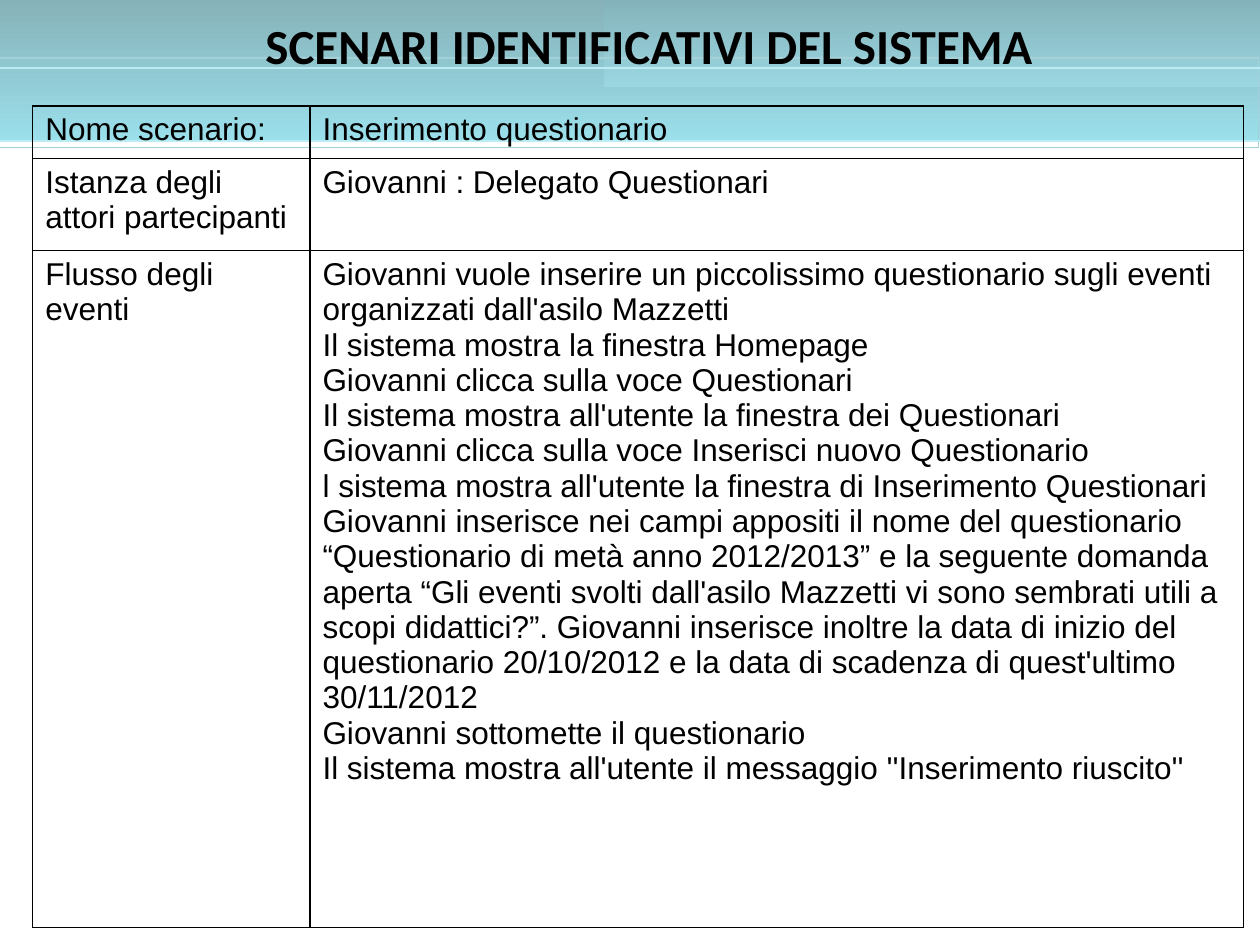
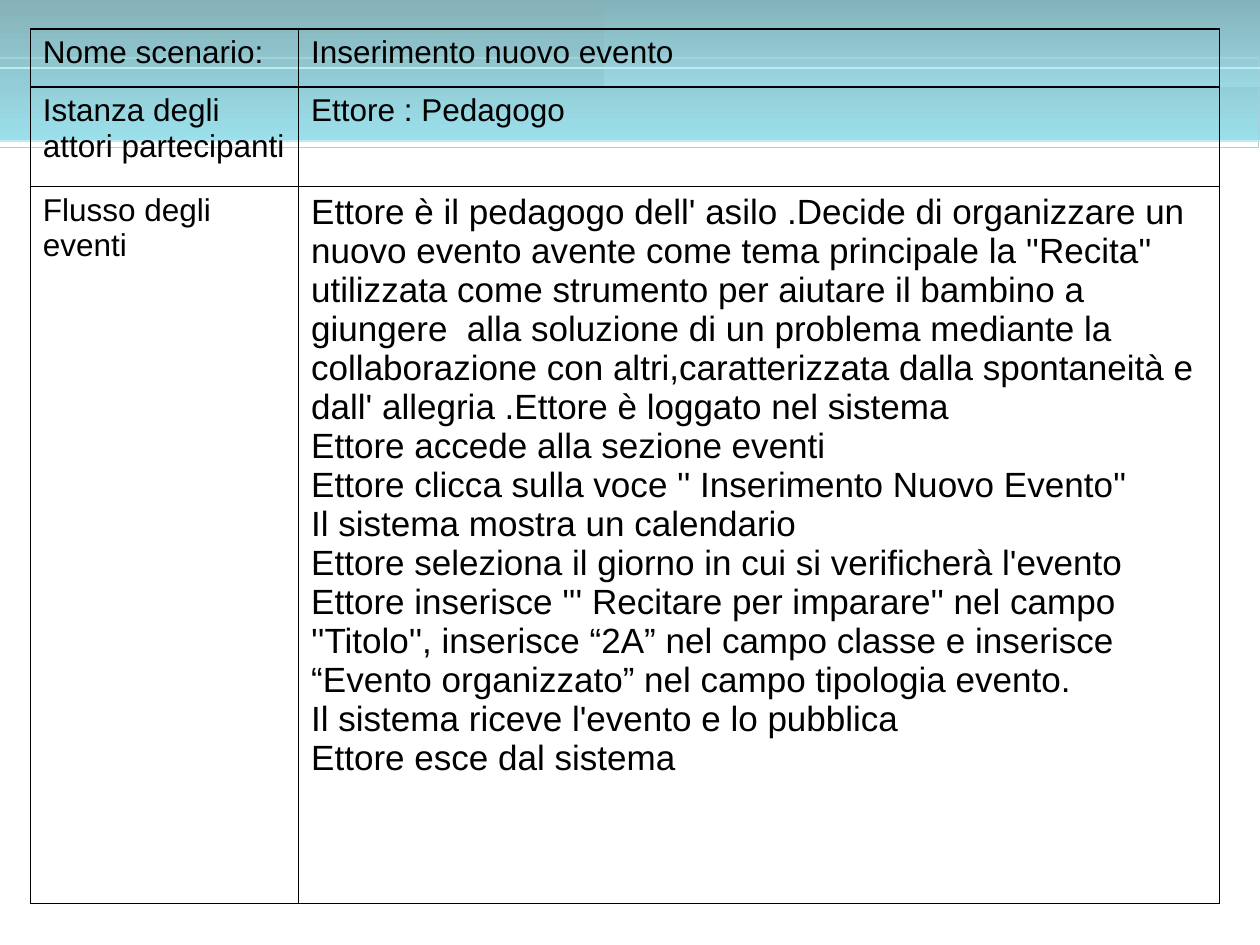
from lxml.etree import SubElement
from pptx import Presentation
from pptx.dml.color import RGBColor
from pptx.enum.shapes import MSO_SHAPE
from pptx.enum.text import MSO_ANCHOR, PP_ALIGN
from pptx.oxml.ns import qn
from pptx.util import Inches, Pt

COLORS = {
    "ink": "000000",
    "band_top": "86B1B8", "band_bottom": "9BE0EB",
    "panel_top": "84B2BA", "panel_bottom": "9BD7E1",
    "outer_rule": "A5D0D7", "inner_rule": "BBECF4",
}
TABLE_FONT, TITLE_FONT = "Arial", "Calibri"
LABELS = ["Nome scenario:", "Istanza degli attori partecipanti", "Flusso degli eventi"]

# Header rectangles: position, gradient colours or outline colour and width
HEADER = [
    ((-0.01, -0.01, 10.02, 1.14), ("band_top", "band_bottom"), None),
    ((4.79, -0.01, 5.21, 0.7), ("panel_top", "panel_bottom"), None),
    ((-0.03, 0.46, 10.02, 0.71), None, ("outer_rule", 0.85)),
    ((-0.02, 0.54, 10.03, 0.58), None, ("inner_rule", 0.75)),
]

SCENARIOS = [
    {
        "title": "SCENARI IDENTIFICATIVI DEL SISTEMA",
        "corner": (0.26, 0.84),
        "columns": (2.2, 7.41),
        "rows": (0.42, 0.73, 5.37),
        "flow_size": 18,
        "name": "Inserimento questionario",
        "actor": "Giovanni : Delegato Questionari",
        "flow": [
            "Giovanni vuole inserire un piccolissimo questionario sugli eventi "
            "organizzati dall'asilo Mazzetti",
            "Il sistema mostra la finestra Homepage",
            "Giovanni clicca sulla voce Questionari",
            "Il sistema mostra all'utente la finestra dei Questionari",
            "Giovanni clicca sulla voce Inserisci nuovo Questionario",
            "l sistema mostra all'utente la finestra di Inserimento Questionari",
            "Giovanni inserisce nei campi appositi il nome del questionario "
            "“Questionario di metà anno 2012/2013” e la seguente domanda aperta "
            "“Gli eventi svolti dall'asilo Mazzetti vi sono sembrati utili a scopi "
            "didattici?”. Giovanni inserisce inoltre la data di inizio del "
            "questionario 20/10/2012 e la data di scadenza di quest'ultimo 30/11/2012",
            "Giovanni sottomette il questionario",
            "Il sistema mostra all'utente il messaggio ''Inserimento riuscito''",
        ],
    },
    {
        "title": None,
        "corner": (0.24, 0.23),
        "columns": (2.13, 7.31),
        "rows": (0.46, 0.79, 5.69),
        "flow_size": 20,
        "name": "Inserimento nuovo evento",
        "actor": "Ettore : Pedagogo",
        "flow": [
            "Ettore è il pedagogo dell' asilo .Decide di organizzare un nuovo evento "
            "avente come tema principale la ''Recita'' utilizzata come strumento per "
            "aiutare il bambino a giungere  alla soluzione di un problema mediante la "
            "collaborazione con altri,caratterizzata dalla spontaneità e dall' allegria "
            ".Ettore è loggato nel sistema",
            "Ettore accede alla sezione eventi",
            "Ettore clicca sulla voce '' Inserimento Nuovo Evento''",
            "Il sistema mostra un calendario",
            "Ettore seleziona il giorno in cui si verificherà l'evento",
            "Ettore inserisce ''' Recitare per imparare'' nel campo ''Titolo'', "
            "inserisce “2A” nel campo classe e inserisce “Evento organizzato” nel "
            "campo tipologia evento.",
            "Il sistema riceve l'evento e lo pubblica",
            "Ettore esce dal sistema",
        ],
    },
]


def color(name):
    return RGBColor.from_string(COLORS[name])


def write(paragraph, text, font_name, size, bold=False):
    run = paragraph.add_run()
    run.text = text
    run.font.name, run.font.size, run.font.bold = font_name, Pt(size), bold
    run.font.color.rgb = color("ink")


prs = Presentation()
prs.slide_width, prs.slide_height = Inches(10), Inches(7.5)
title_only, blank = prs.slide_layouts[5], prs.slide_layouts[6]
slides = [prs.slides.add_slide(title_only if scenario["title"] else blank)
          for scenario in SCENARIOS]

# The header is drawn once and moved to the master, behind its placeholders
master_tree = prs.slide_master.shapes.element
for order, (place, gradient, outline) in enumerate(HEADER):
    piece = slides[0].shapes.add_shape(MSO_SHAPE.RECTANGLE, *map(Inches, place))
    piece.shadow.inherit = False
    if gradient:
        piece.fill.gradient()
        piece.fill.gradient_angle = 270
        for stop, name, position in zip(piece.fill.gradient_stops, gradient, (0, 1)):
            stop.color.rgb, stop.position = color(name), position
        piece.line.fill.background()
    else:
        rule_color, rule_width = outline
        piece.fill.background()
        piece.line.color.rgb = color(rule_color)
        piece.line.width = Pt(rule_width)
    piece.element.xpath(".//p:cNvPr")[0].set("id", str(100 + order))
    master_tree.insert(2 + order, piece.element)

for slide, scenario in zip(slides, SCENARIOS):
    if scenario["title"]:
        title = slide.shapes.title
        title.left, title.top, title.width, title.height = map(
            Inches, (1.85, 0.07, 6.6, 1.66))
        title.text_frame.word_wrap = False
        title.text_frame.vertical_anchor = MSO_ANCHOR.TOP
        heading = title.text_frame.paragraphs[0]
        heading.alignment = PP_ALIGN.CENTER
        write(heading, scenario["title"], TITLE_FONT, 28, bold=True)

    columns, rows = scenario["columns"], scenario["rows"]
    table = slide.shapes.add_table(
        len(rows), len(columns), *map(Inches, scenario["corner"]),
        Inches(sum(columns)), Inches(sum(rows))).table
    table.first_row = table.horz_banding = False
    for column, width in zip(table.columns, columns):
        column.width = Inches(width)
    for row, height in zip(table.rows, rows):
        row.height = Inches(height)

    contents = [[scenario["name"]], [scenario["actor"]], scenario["flow"]]
    for row, label, content in zip(table.rows, LABELS, contents):
        for cell, lines in zip(row.cells, ([label], content)):
            borders = cell._tc.get_or_add_tcPr()
            for side in ("lnL", "lnR", "lnT", "lnB"):
                border = SubElement(borders, qn(f"a:{side}"), w=str(Pt(1)))
                ink = SubElement(border, qn("a:solidFill"))
                SubElement(ink, qn("a:srgbClr"), val=COLORS["ink"])
            cell.fill.background()
            size = scenario["flow_size"] if lines is scenario["flow"] else 18
            frame = cell.text_frame
            for number, line in enumerate(lines):
                paragraph = frame.add_paragraph() if number else frame.paragraphs[0]
                write(paragraph, line, TABLE_FONT, size)

prs.save("out.pptx")
